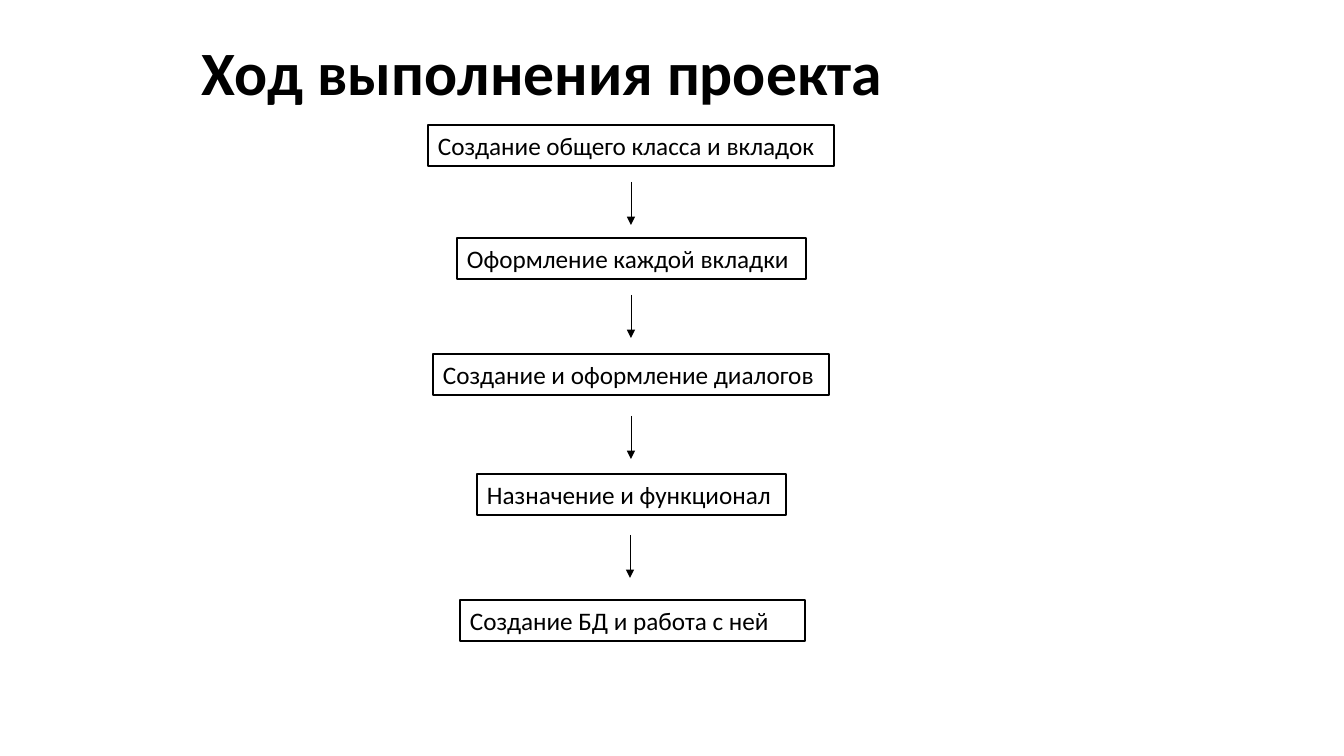
from lxml import etree
from pptx import Presentation
from pptx.dml.color import RGBColor
from pptx.enum.shapes import MSO_CONNECTOR, MSO_SHAPE
from pptx.enum.text import MSO_ANCHOR, PP_ALIGN
from pptx.oxml.ns import qn
from pptx.util import Pt

RECTANGLE = MSO_SHAPE.RECTANGLE
STRAIGHT = MSO_CONNECTOR.STRAIGHT
MIDDLE = MSO_ANCHOR.MIDDLE
LEFT = PP_ALIGN.LEFT

COLORS = {"ink": "000000", "paper": "FFFFFF"}
FONT = "Calibri"
EMU_PER_PIXEL = 914400 / 100.8


def emu(pixels):
    return round(pixels * EMU_PER_PIXEL)


def write(box, text, size, bold=False):
    frame = box.text_frame
    frame.text = text
    frame.word_wrap = True
    frame.vertical_anchor = MIDDLE
    para = frame.paragraphs[0]
    para.alignment = LEFT
    span = para.runs[0]
    span.font.name = FONT
    span.font.size = Pt(size)
    span.font.bold = bold
    span.font.color.rgb = RGBColor.from_string(COLORS["ink"])
    return para


deck = Presentation()
deck.slide_width, deck.slide_height = emu(1344), emu(756)
page = deck.slides.add_slide(deck.slide_layouts[6])

# Title
title = page.shapes.add_textbox(emu(192), emu(33), emu(1152), emu(86))
write(title, "Ход выполнения проекта", 44, bold=True).line_spacing = 0.9

# Project steps: text, left, top, width
STEP_HEIGHT = 41
steps = [
    ("Создание общего класса и вкладок", 428, 125, 406),
    ("Оформление каждой вкладки", 457, 238, 349),
    ("Создание и оформление диалогов", 433, 354, 396),
    ("Назначение и функционал", 477, 474, 309),
    ("Создание БД и работа с ней", 460, 600, 345),
]
for text, left, top, width in steps:
    step = page.shapes.add_shape(
        RECTANGLE, emu(left), emu(top), emu(width), emu(STEP_HEIGHT))
    step.shadow.inherit = False
    step.fill.solid()
    step.fill.fore_color.rgb = RGBColor.from_string(COLORS["paper"])
    step.line.color.rgb = RGBColor.from_string(COLORS["ink"])
    step.line.width = Pt(1)
    write(step, text, 18)

# Arrows between steps: centre line, top
ARROW_LENGTH = 43
for center, top in [(631, 182), (631, 295), (631, 416), (630, 535)]:
    arrow = page.shapes.add_connector(
        STRAIGHT, emu(center), emu(top), emu(center), emu(top + ARROW_LENGTH))
    arrow.line.color.rgb = RGBColor.from_string(COLORS["ink"])
    arrow.line.width = Pt(0.5)
    properties = arrow.line._get_or_add_ln()
    etree.SubElement(properties, qn("a:tailEnd"), type="triangle")
    etree.SubElement(properties.getparent(), qn("a:effectLst"))

deck.save("out.pptx")
